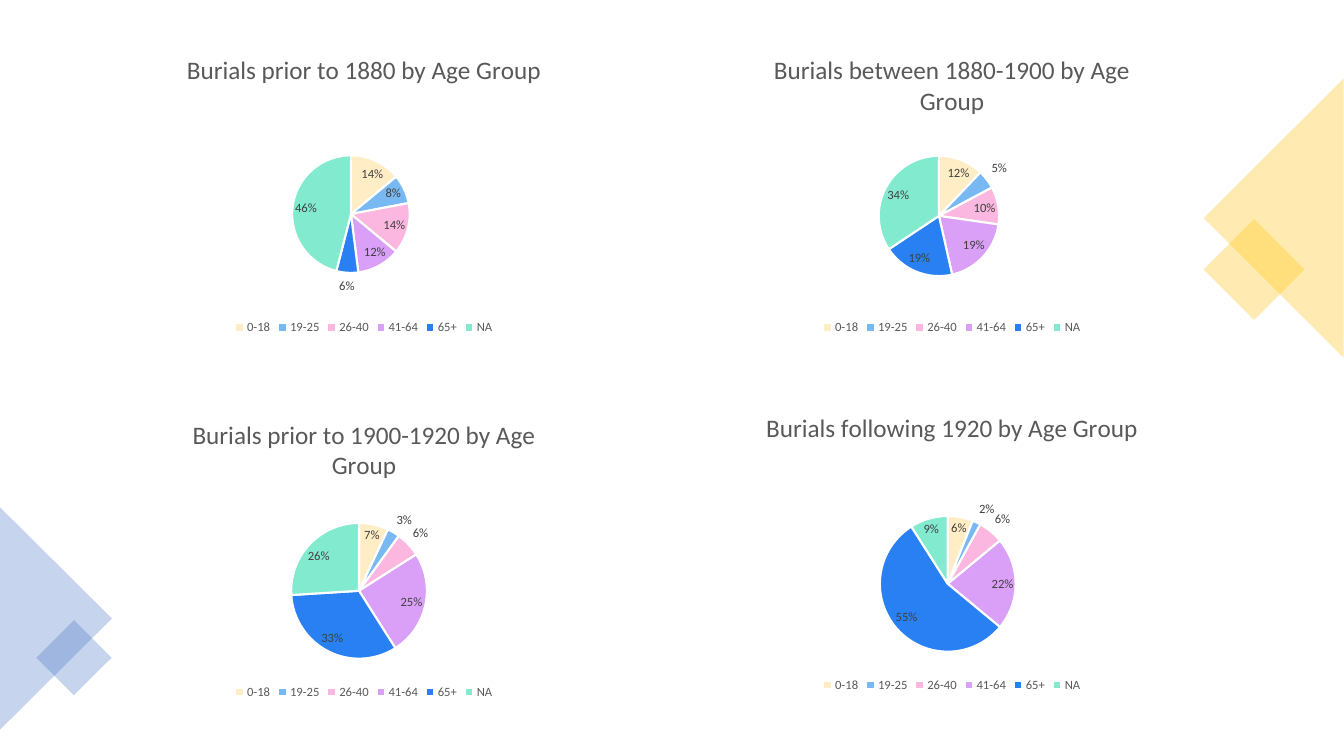
"""Build a slide with four pie charts of burials by age group."""
from lxml import etree
from pptx import Presentation
from pptx import util as u
from pptx.chart.data import CategoryChartData
from pptx.dml.color import RGBColor
from pptx.enum import chart as ch, shapes
from pptx.oxml.ns import qn

Pt = u.Pt
COLORS = {"gold": "FFC000", "navy": "4472C4", "white": "FFFFFF",
          "title": "595959", "label": "404040"}
AGES = {"0-18": "FFEEC5", "19-25": "79B9F3", "26-40": "FBB7DF",
        "41-64": "DA9FF7", "65+": "2980F3", "NA": "82EACF"}
WIDE, HIGH = 360, 216


def style(font, size, color):
    font.name = "Calibri"
    font.size = Pt(size)
    font.bold = False
    font.color.rgb = RGBColor.from_string(COLORS[color])


def place(plot, mid_x, mid_y, size):
    for old in plot.findall(qn("c:layout")):
        plot.remove(old)
    layout = etree.Element(qn("c:layout"))
    plot.insert(0, layout)
    manual = etree.SubElement(layout, qn("c:manualLayout"))
    parts = {"layoutTarget": "inner", "xMode": "edge", "yMode": "edge",
             "x": (mid_x - size / 2) / WIDE, "y": (mid_y - size / 2) / HIGH,
             "w": size / WIDE, "h": size / HIGH}
    for name, value in parts.items():
        etree.SubElement(manual, qn("c:" + name)).set("val", str(value))


deck = Presentation()
deck.slide_width, deck.slide_height = Pt(960), Pt(540)
slide = deck.slides.add_slide(deck.slide_layouts[6])

box = shapes.MSO_SHAPE.RECTANGLE
wedge = shapes.MSO_SHAPE.ISOSCELES_TRIANGLE
accents = [
    (box, 870.3, 167, 51, 51, 45, "gold"),
    (wedge, 810, 105.8, 199.6, 100, 270, "gold"),
    (wedge, -39.6, 401.8, 159, 80, 90, "navy"),
    (box, 33.8, 450.8, 38, 38, 45, "navy"),
]
for kind, left, top, width, height, turn, color in accents:
    shape = slide.shapes.add_shape(kind, Pt(left), Pt(top), Pt(width), Pt(height))
    shape.rotation = turn
    shape.shadow.inherit = False
    shape.line.fill.background()
    shape.fill.solid()
    shape.fill.fore_color.rgb = RGBColor.from_string(COLORS[color])
    tint = shape.fill._xPr.find(".//" + qn("a:srgbClr"))
    etree.SubElement(tint, qn("a:alpha")).set("val", "30000")

pies = [
    ("Burials prior to 1880 by Age Group", 80, 26,
     (14, 8, 14, 12, 6, 46), (170.7, 127, 84)),
    ("Burials between 1880-1900 by Age Group", 500, 26,
     (12, 5, 10, 19, 19, 34), (170.7, 128.3, 86)),
    ("Burials prior to 1900-1920 by Age Group", 80, 286.5,
     (7, 3, 6, 25, 33, 26), (176.5, 135.6, 97)),
    ("Burials following 1920 by Age Group", 500, 281.5,
     (6, 2, 6, 22, 55, 9), (177, 135.6, 97)),
]
for title, left, top, values, spot in pies:
    data = CategoryChartData()
    data.categories = list(AGES)
    data.add_series("Series 1", values)
    chart = slide.shapes.add_chart(
        ch.XL_CHART_TYPE.PIE, Pt(left), Pt(top), Pt(WIDE), Pt(HIGH), data).chart
    style(chart.font, 10, "title")
    chart.has_title = True
    head = chart.chart_title
    head.include_in_layout = False
    head.text_frame.text = title
    style(head.text_frame.paragraphs[0].font, 18, "title")
    chart.has_legend = True
    chart.legend.position = ch.XL_LEGEND_POSITION.BOTTOM
    chart.legend.include_in_layout = False
    style(chart.legend.font, 9, "title")

    plot = chart.plots[0]
    plot.vary_by_categories = True
    series = plot.series[0]
    for index, color in enumerate(AGES.values()):
        slice_ = series.points[index].format
        slice_.fill.solid()
        slice_.fill.fore_color.rgb = RGBColor.from_string(color)
        slice_.line.color.rgb = RGBColor.from_string(COLORS["white"])
        slice_.line.width = Pt(1.5)
    labels = series.data_labels
    labels.show_value = False
    labels.show_percentage = True
    labels.number_format = "0%"
    labels.number_format_is_linked = False
    labels.position = ch.XL_LABEL_POSITION.BEST_FIT
    style(labels.font, 9, "label")
    place(chart._chartSpace.find(".//" + qn("c:plotArea")), *spot)

deck.save("out.pptx")
